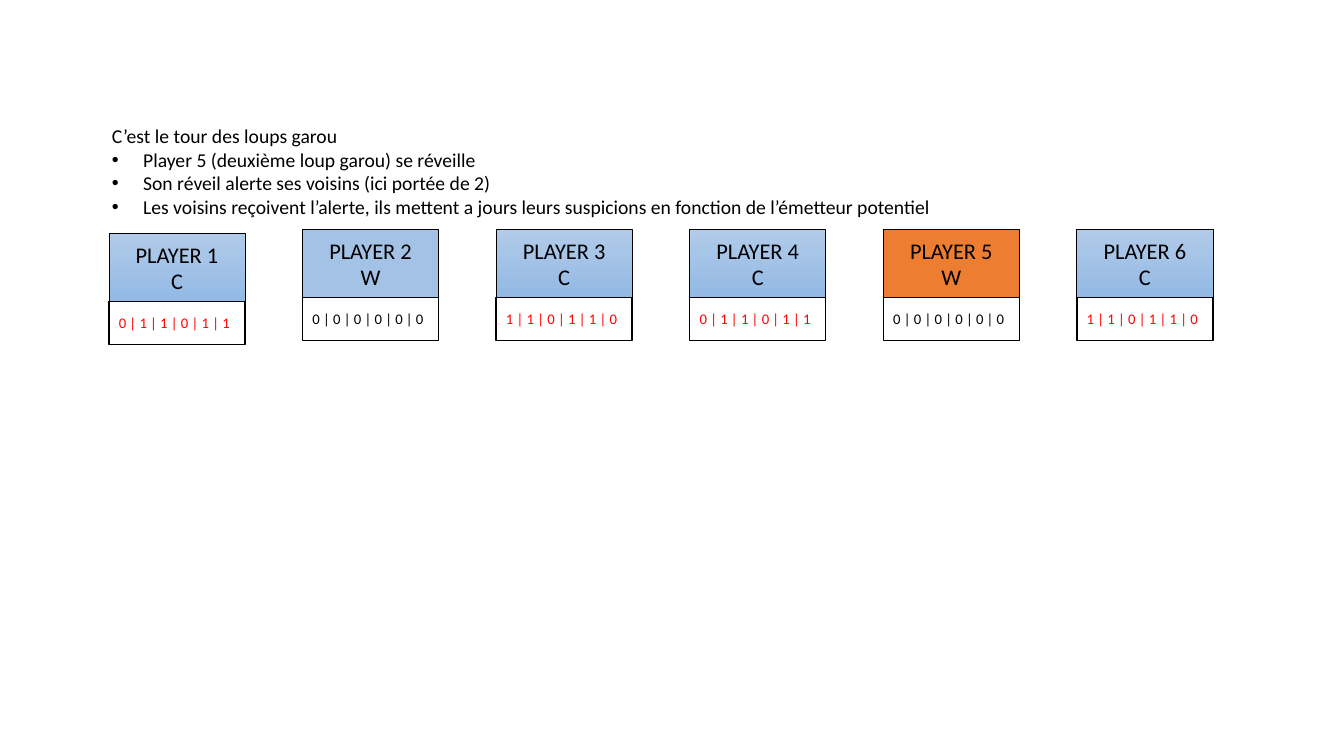
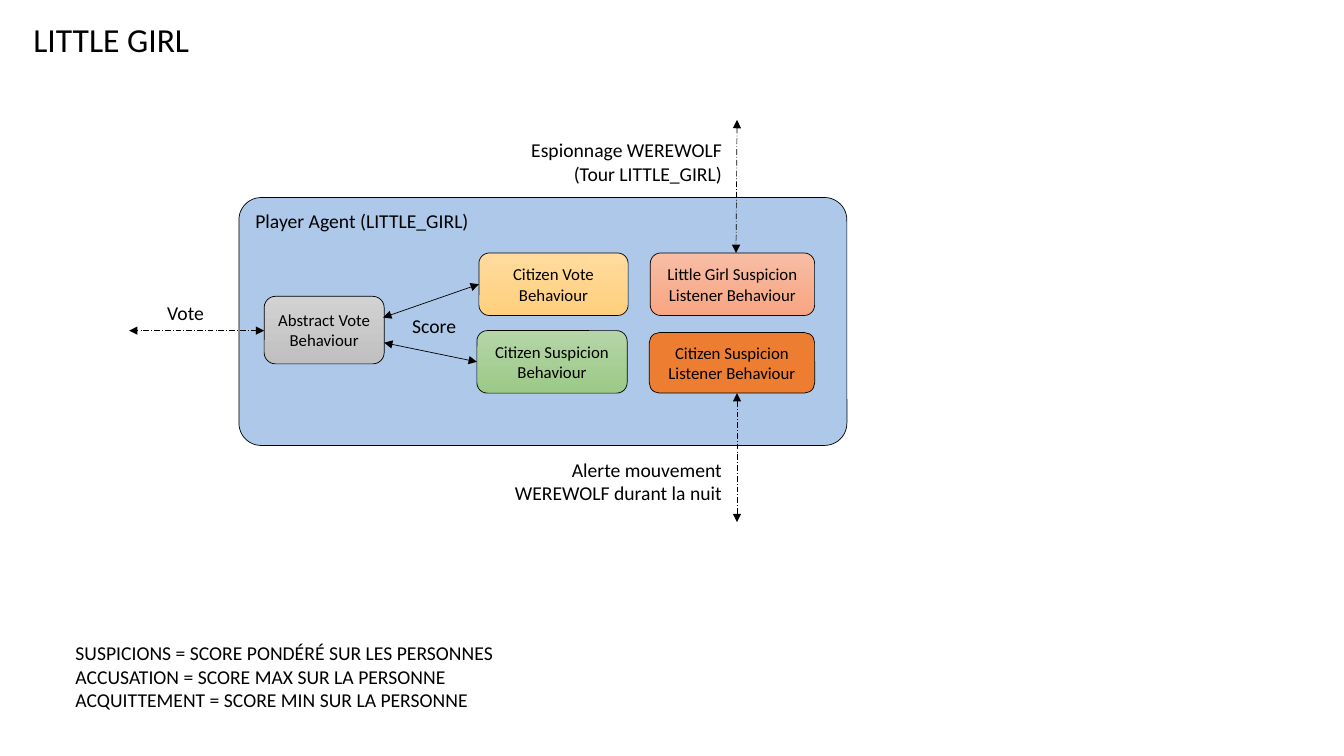
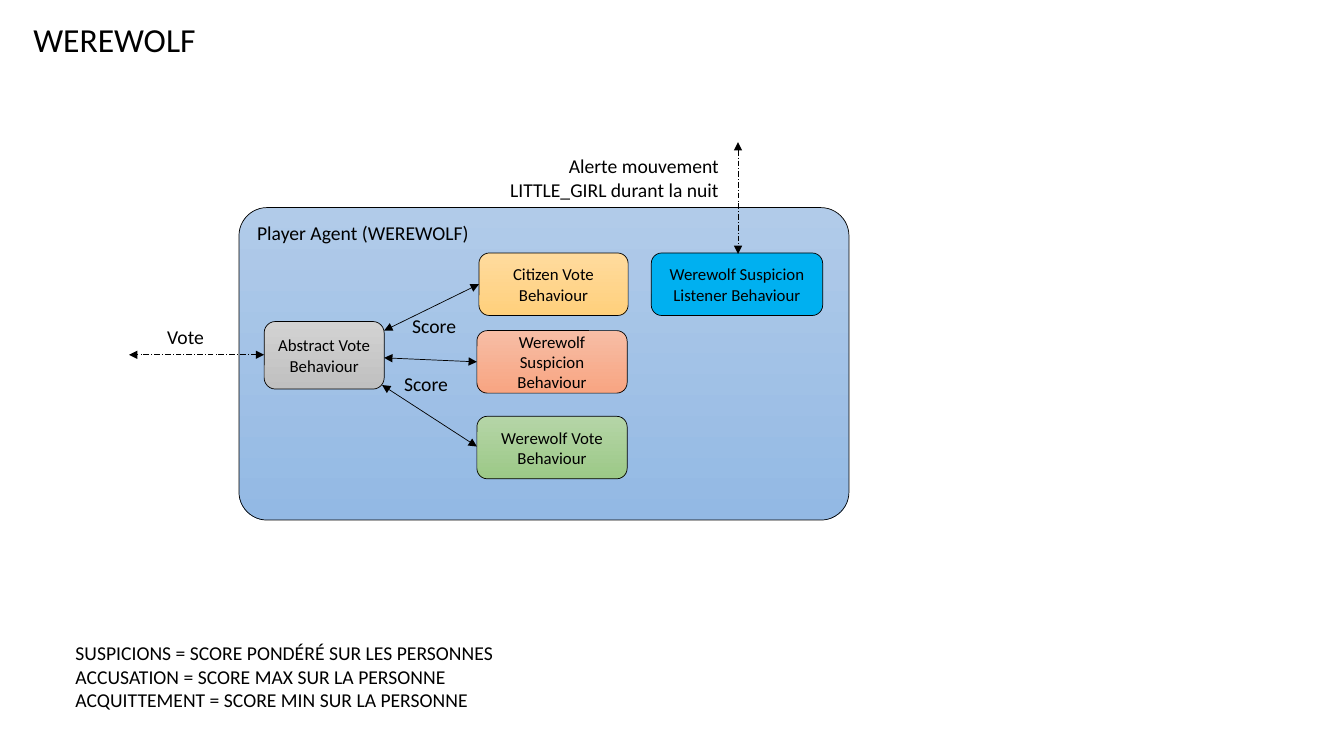
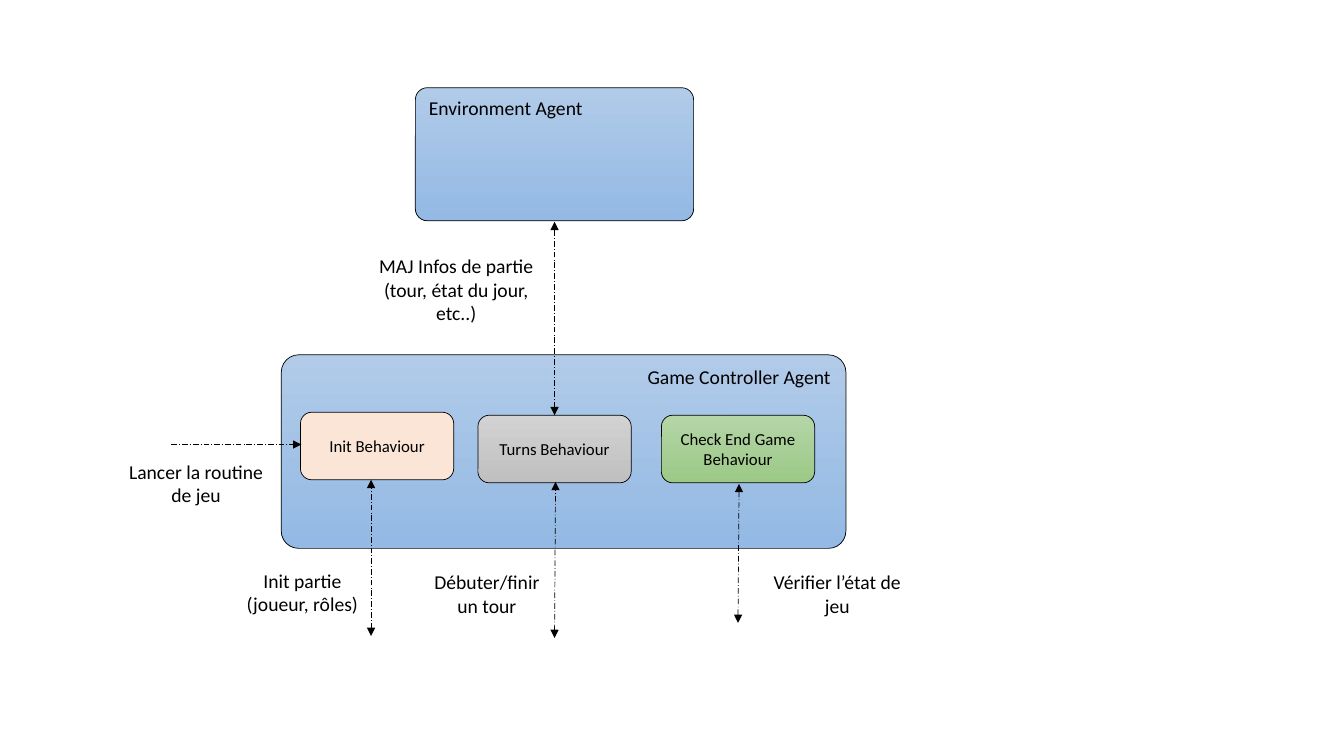
"""Build four slides describing the agents of a werewolf game."""
from lxml import etree
from pptx import Presentation
from pptx.dml.color import RGBColor
from pptx.enum.dml import MSO_LINE
from pptx.enum.shapes import MSO_CONNECTOR, MSO_SHAPE
from pptx.enum.text import MSO_ANCHOR, MSO_AUTO_SIZE, PP_ALIGN
from pptx.oxml.ns import qn
from pptx.util import Inches, Pt

LEFT, CENTER, RIGHT = PP_ALIGN.LEFT, PP_ALIGN.CENTER, PP_ALIGN.RIGHT
TOP, MIDDLE = MSO_ANCHOR.TOP, MSO_ANCHOR.MIDDLE
RECT, ROUNDED = MSO_SHAPE.RECTANGLE, MSO_SHAPE.ROUNDED_RECTANGLE
STRAIGHT, DASH_DOT = MSO_CONNECTOR.STRAIGHT, MSO_LINE.LONG_DASH_DOT
NO_FIT = MSO_AUTO_SIZE.NONE
LAYOUT_BODY, LAYOUT_TITLE, LAYOUT_BLANK = 1, 5, 6

FONT = "Calibri"
BLACK, WHITE, RED = "000000", "FFFFFF", "FF0000"
ORANGE, CYAN, PEACH = "ED7D31", "00B0F0", "FBE5D6"
FLAT_BLUE, PALE_BLUE = "A4C2E5", "ADC8E8"
BLUE = ("B1CBE9", "93B9E4")
YELLOW = ("FFDB9E", "FFD07C")
GREEN = ("B5D5A7", "9CC987")
GREY = ("D2D2D2", "C0C0C0")
SALMON = ("F7BDA5", "F8A582")

TURN = """C’est le tour des loups garou
Player 5 (deuxième loup garou) se réveille
Son réveil alerte ses voisins (ici portée de 2)
Les voisins reçoivent l’alerte, ils mettent a jours leurs suspicions en fonction de l’émetteur potentiel"""

PLAYERS = [
    ("C", BLUE, 2.32, "011011"),
    ("W", FLAT_BLUE, 2.28, "000000"),
    ("C", BLUE, 2.28, "110110"),
    ("C", BLUE, 2.28, "011011"),
    ("W", ORANGE, 2.28, "000000"),
    ("C", BLUE, 2.28, "110110"),
]
PLAYER_LEFT, PLAYER_STEP, PLAYER_WIDTH = 1.08, 1.92, 1.35
HEAD_HEIGHT, SCORE_HEIGHT = 0.67, 0.43

LEGEND = ("""SUSPICIONS = SCORE PONDÉRÉ SUR LES PERSONNES
ACCUSATION = SCORE MAX SUR LA PERSONNE
ACQUITTEMENT = SCORE MIN SUR LA PERSONNE""", LEFT, (0.65, 6.31, 4.96, 0.81))
SCORE = ("Score", LEFT, (3.99, 3.07, 1.37, 0.34))
CITIZEN_VOTE = ("Citizen Vote Behaviour", YELLOW, (4.75, 2.51, 1.48, 0.62))

DIAGRAMS = [
    {
        "title": "LITTLE GIRL",
        "panels": [("Player Agent (LITTLE_GIRL)", PALE_BLUE, LEFT, (2.37, 1.96, 6.03, 2.46))],
        "boxes": [
            CITIZEN_VOTE,
            ("Citizen Suspicion Behaviour", GREEN, (4.73, 3.28, 1.49, 0.62)),
            ("Abstract Vote Behaviour", GREY, (2.62, 2.94, 1.19, 0.67)),
            ("Little Girl Suspicion Listener Behaviour", SALMON, (6.45, 2.51, 1.63, 0.62)),
            ("Citizen Suspicion Listener Behaviour", ORANGE, (6.44, 3.3, 1.64, 0.6)),
        ],
        "labels": [
            ("Vote", LEFT, (1.56, 2.94, 1.37, 0.34)),
            SCORE,
            ("Espionnage WEREWOLF (Tour LITTLE_GIRL)", RIGHT, (4.87, 1.32, 2.39, 0.57)),
            ("Alerte mouvement\nWEREWOLF durant la nuit", RIGHT, (4.62, 4.49, 2.64, 0.81)),
            LEGEND,
        ],
        "scores": [(4.75, 2.82, 3.8, 3.15), (4.73, 3.59, 3.81, 3.4)],
        "messages": [(2.62, 3.28, 1.28, 3.28), (7.31, 1.19, 7.3, 2.51), (7.31, 3.9, 7.31, 5.18)],
    },
    {
        "title": "WEREWOLF",
        "panels": [("Player Agent (WEREWOLF)", BLUE, LEFT, (2.37, 2.06, 6.05, 3.1))],
        "boxes": [
            CITIZEN_VOTE,
            ("Werewolf Suspicion Behaviour", SALMON, (4.73, 3.28, 1.49, 0.62)),
            ("Abstract Vote Behaviour", GREY, (2.62, 3.19, 1.19, 0.67)),
            ("Werewolf Suspicion Listener Behaviour", CYAN, (6.46, 2.51, 1.7, 0.62)),
            ("Werewolf Vote Behaviour", GREEN, (4.73, 4.13, 1.49, 0.62)),
        ],
        "labels": [
            ("Vote", LEFT, (1.56, 3.17, 1.37, 0.34)),
            SCORE,
            ("Score", LEFT, (3.91, 3.64, 1.37, 0.34)),
            ("Alerte mouvement\nLITTLE_GIRL durant la nuit", RIGHT, (4.26, 1.48, 2.97, 0.57)),
            LEGEND,
        ],
        "scores": [(4.75, 2.82, 3.81, 3.28), (4.73, 3.59, 3.81, 3.55), (4.73, 4.43, 3.79, 3.82)],
        "messages": [(2.62, 3.52, 1.28, 3.52), (7.32, 1.41, 7.32, 2.52)],
    },
    {
        "panels": [
            ("Game Controller Agent", BLUE, RIGHT, (2.79, 3.52, 5.6, 1.92)),
            ("Environment Agent", BLUE, LEFT, (4.12, 0.87, 2.76, 1.32)),
        ],
        "boxes": [
            ("Init Behaviour", PEACH, (2.98, 4.09, 1.52, 0.67)),
            ("Turns Behaviour", GREY, (4.74, 4.12, 1.52, 0.67)),
            ("Check End Game Behaviour", GREEN, (6.56, 4.12, 1.52, 0.67)),
        ],
        "labels": [
            ("MAJ Infos de partie (tour, état du jour, etc..)", CENTER, (3.55, 2.47, 1.95, 0.81)),
            ("Lancer la routine de jeu", CENTER, (1.13, 4.51, 1.63, 0.57)),
            ("Init partie\n(joueur, rôles)", CENTER, (2.33, 5.59, 1.34, 0.57)),
            ("Débuter/finir un tour", CENTER, (4.16, 5.61, 1.34, 0.57)),
            ("Vérifier l’état de jeu", CENTER, (7.47, 5.61, 1.67, 0.57)),
        ],
        "messages": [
            (5.5, 4.12, 5.5, 2.2),
            (3.68, 6.31, 3.68, 4.76),
            (5.5, 6.33, 5.51, 4.78),
            (7.32, 6.18, 7.33, 4.8),
        ],
        "triggers": [(1.7, 4.41, 2.99, 4.41)],
    },
]


def rgb(value):
    """Turn a hex string into a colour."""
    return RGBColor.from_string(value)


def write(tf, text, size=14, color=BLACK, align=LEFT, anchor=TOP, spacing=1.0):
    """Fill a text frame with one paragraph per line of text."""
    tf.word_wrap = True
    tf.auto_size = NO_FIT
    tf.vertical_anchor = anchor
    for i, line in enumerate(text.split("\n")):
        p = tf.paragraphs[0] if i == 0 else tf.add_paragraph()
        p.alignment = align
        p.line_spacing = spacing
        p.space_before = Pt(0)
        r = p.add_run()
        r.text = line
        r.font.name, r.font.size = FONT, Pt(size)
        r.font.color.rgb = rgb(color)


def place(sp, box):
    """Move a placeholder to a box given in inches."""
    sp.left, sp.top, sp.width, sp.height = map(Inches, box)


def add_box(s, kind, box, fill, text, line=0.5, **fmt):
    """Add an outlined shape with a flat or vertical gradient fill."""
    sp = s.shapes.add_shape(kind, *map(Inches, box))
    sp.shadow.inherit = False
    if isinstance(fill, str):
        sp.fill.solid()
        sp.fill.fore_color.rgb = rgb(fill)
    else:
        sp.fill.gradient()
        sp.fill.gradient_angle = 270
        for stop, color in zip(sp.fill.gradient_stops, fill):
            stop.color.rgb = rgb(color)
    sp.line.color.rgb = rgb(BLACK)
    sp.line.width = Pt(line)
    write(sp.text_frame, text, **fmt)
    return sp


def add_arrow(s, ends, dash=None, heads=("headEnd", "tailEnd")):
    """Add a thin straight arrow between two points."""
    c = s.shapes.add_connector(STRAIGHT, *map(Inches, ends))
    c.line.color.rgb = rgb(BLACK)
    c.line.width = Pt(0.5)
    if dash:
        c.line.dash_style = dash
    ln = c.line._get_or_add_ln()
    for head in heads:
        etree.SubElement(ln, qn("a:" + head), type="triangle")
    etree.SubElement(c._element.spPr, qn("a:effectLst"))


def build_turn(prs):
    """Build the slide with the list and the row of players."""
    s = prs.slides.add_slide(prs.slide_layouts[LAYOUT_BODY])
    title, body = s.placeholders
    title._element.getparent().remove(title._element)
    place(body, (1.01, 1.18, 11.95, 1.28))
    write(body.text_frame, TURN)
    for i, p in enumerate(body.text_frame.paragraphs):
        indent = Inches(0.31) if i else 0
        pPr = p._p.get_or_add_pPr()
        pPr.set("marL", str(indent))
        pPr.set("indent", str(-indent))
        if i == 0:
            etree.SubElement(pPr, qn("a:buNone"))
    for i, (role, fill, top, scores) in enumerate(PLAYERS):
        x = PLAYER_LEFT + i * PLAYER_STEP
        add_box(s, RECT, (x, top, PLAYER_WIDTH, HEAD_HEIGHT), fill,
                f"PLAYER {i + 1}\n{role}", size=16, align=CENTER, anchor=MIDDLE)
        add_box(s, RECT, (x, top + HEAD_HEIGHT, PLAYER_WIDTH, SCORE_HEIGHT), WHITE,
                " | ".join(scores), line=1, size=10.5,
                color=RED if "1" in scores else BLACK, anchor=MIDDLE)


def build_diagram(prs, d):
    """Build one slide of agents, behaviours and messages."""
    title = d.get("title")
    s = prs.slides.add_slide(prs.slide_layouts[LAYOUT_TITLE if title else LAYOUT_BLANK])
    if title:
        place(s.shapes.title, (0.23, 0.18, 5.99, 0.65))
        write(s.shapes.title.text_frame, title, size=24, spacing=0.9)
    for text, fill, align, box in d["panels"]:
        sp = add_box(s, ROUNDED, box, fill, text, align=align)
        sp.adjustments[0] = 0.09
    for text, fill, box in d["boxes"]:
        add_box(s, ROUNDED, box, fill, text, size=12, align=CENTER, anchor=MIDDLE)
    for ends in d.get("scores", []):
        add_arrow(s, ends)
    for ends in d["messages"]:
        add_arrow(s, ends, dash=DASH_DOT)
    for ends in d.get("triggers", []):
        add_arrow(s, ends, dash=DASH_DOT, heads=("tailEnd",))
    for text, align, box in d["labels"]:
        write(s.shapes.add_textbox(*map(Inches, box)).text_frame, text, align=align)


def main():
    """Build and save the presentation."""
    prs = Presentation()
    prs.slide_width, prs.slide_height = Inches(13.33), Inches(7.5)
    build_turn(prs)
    for d in DIAGRAMS:
        build_diagram(prs, d)
    prs.save("out.pptx")


if __name__ == "__main__":
    main()
